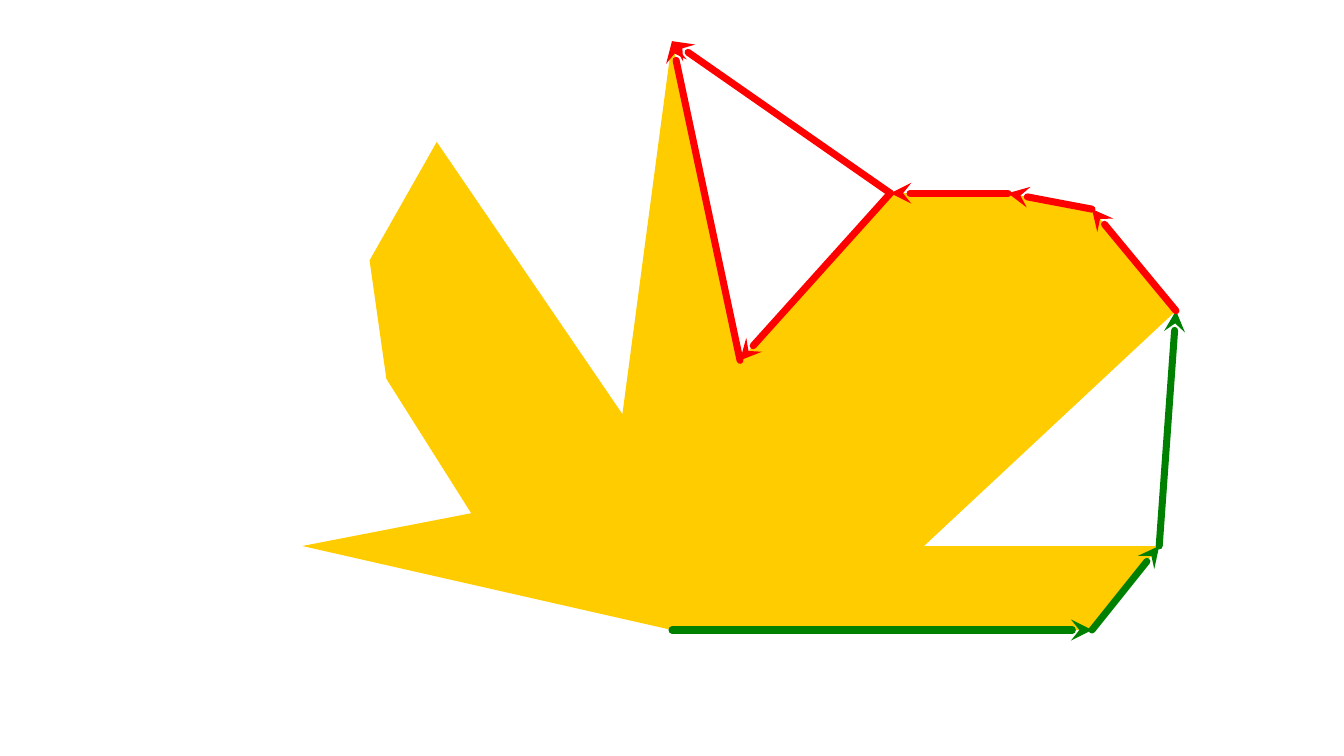
import pptx
import pptx.dml.color
import pptx.enum.shapes
import pptx.oxml
import pptx.util
from lxml import etree

Pt = pptx.util.Pt
THEME = {"polygon": "FFCC00", "lower": "008000", "upper": "FF0000", "stroke": 6}


def color(name):
    return pptx.dml.color.RGBColor.from_string(THEME[name])


def add_arrow(page, start, end, color_name):
    arrow = page.shapes.add_connector(
        pptx.enum.shapes.MSO_CONNECTOR.STRAIGHT,
        Pt(start[0]), Pt(start[1]), Pt(end[0]), Pt(end[1]),
    )
    arrow.line.color.rgb = color(color_name)
    arrow.line.width = Pt(THEME["stroke"])
    properties = arrow.element.spPr
    outline = arrow.line._get_or_add_ln()
    outline.set("cap", "rnd")
    etree.SubElement(outline, pptx.oxml.ns.qn("a:round"))
    etree.SubElement(outline, pptx.oxml.ns.qn("a:tailEnd"), type="stealth")
    etree.SubElement(properties, pptx.oxml.ns.qn("a:effectLst"))


deck = pptx.Presentation()
deck.slide_width = Pt(1152)
deck.slide_height = Pt(648)
page = deck.slides.add_slide(deck.slide_layouts[6])

vertices = {
    "left tip": (259.2, 468),
    "lowest": (576, 540),
    "bottom right": (936, 540),
    "lower right": (993.6, 468),
    "right notch": (792, 468),
    "rightmost": (1008, 266.4),
    "upper right": (936, 179.28),
    "crown right": (864, 165.6),
    "crown left": (763.2, 165.6),
    "top notch": (634.32, 308.88),
    "top": (576, 35.28),
    "middle notch": (533.52, 354.96),
    "left peak": (374.4, 121.68),
    "left shoulder": (316.8, 223.2),
    "left flank": (331.2, 324.72),
    "left notch": (403.92, 439.92),
}

corners = [(Pt(x), Pt(y)) for x, y in vertices.values()]
builder = page.shapes.build_freeform(*corners[0])
builder.add_line_segments(corners[1:], close=True)
polygon = builder.convert_to_shape()
polygon.shadow.inherit = False
polygon.fill.solid()
polygon.fill.fore_color.rgb = color("polygon")
polygon.line.fill.background()

chains = [
    ("lower", ["lowest", "bottom right", "lower right", "rightmost"]),
    ("upper", ["rightmost", "upper right", "crown right", "crown left", "top notch", "top"]),
    ("upper", ["crown left", "top"]),
]
for color_name, stops in chains:
    for start, end in zip(stops, stops[1:]):
        add_arrow(page, vertices[start], vertices[end], color_name)

deck.save("out.pptx")
